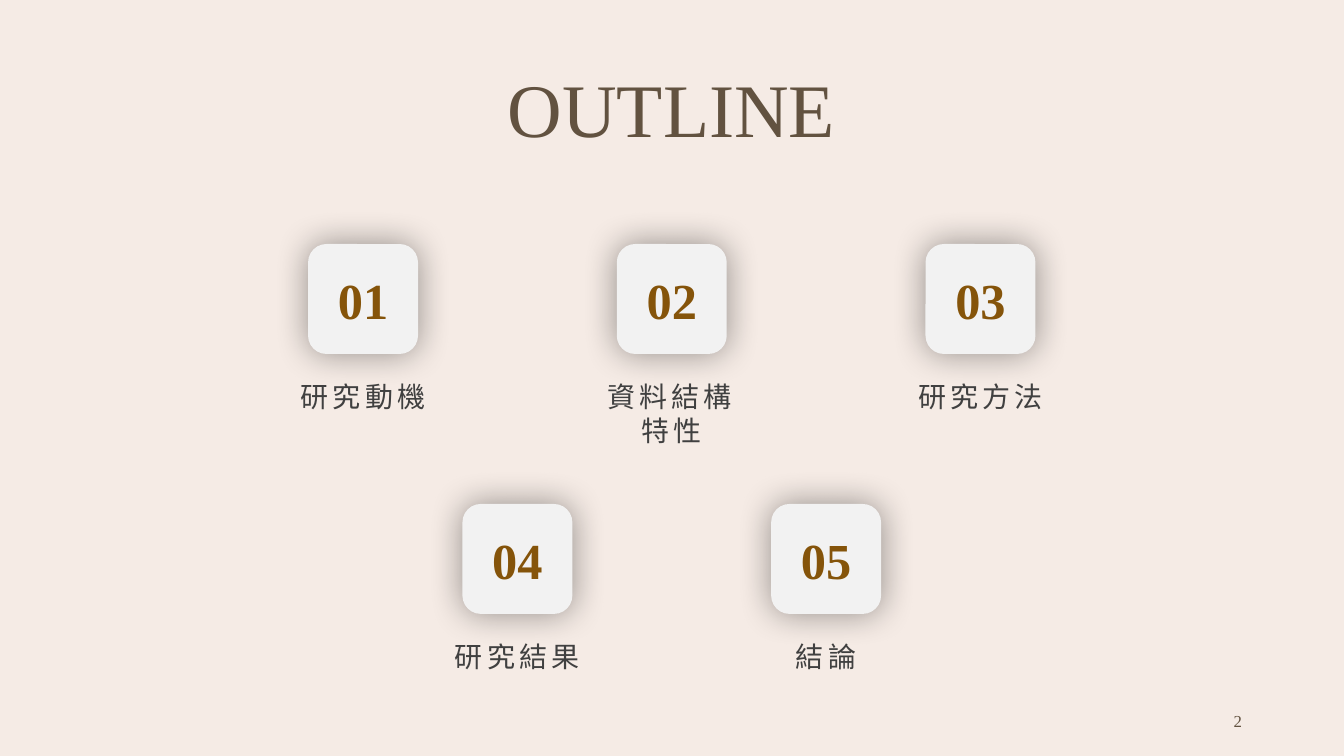
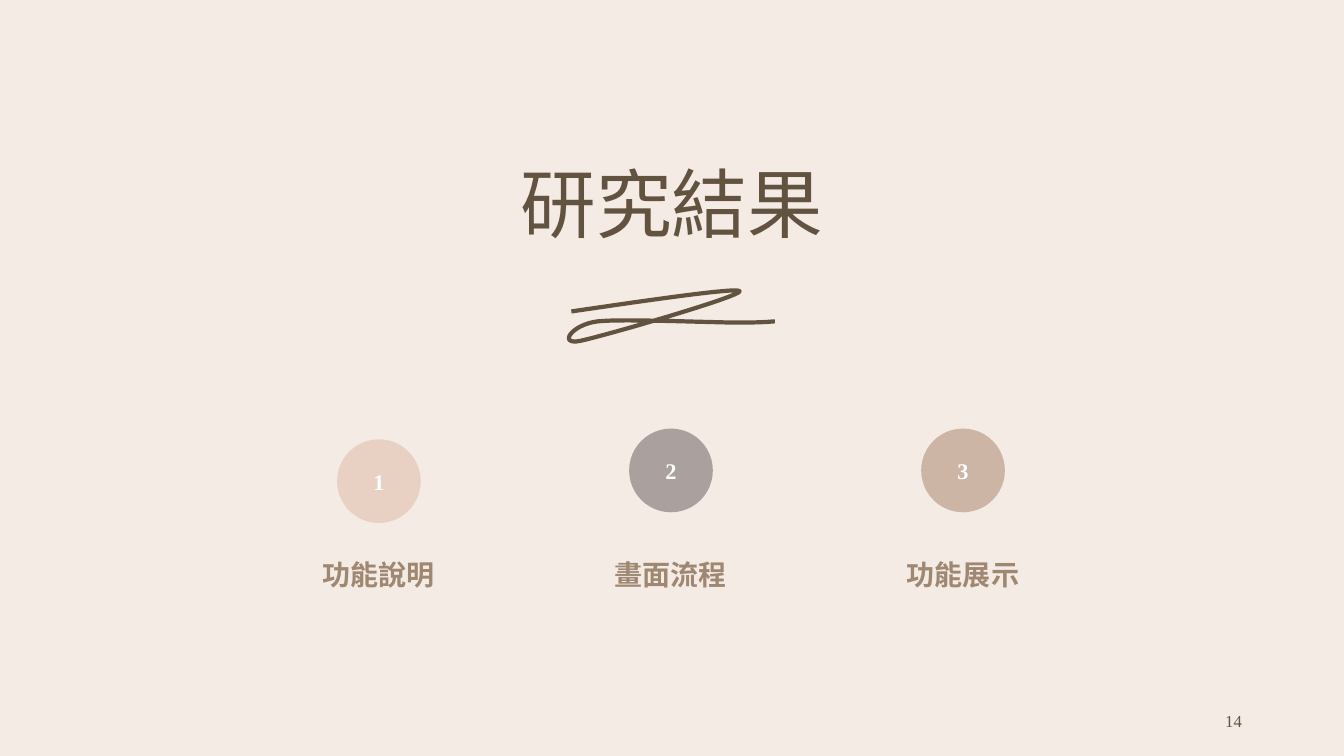
from dataclasses import dataclass

from lxml.etree import SubElement
from pptx import Presentation
from pptx.dml.color import RGBColor
from pptx.enum.shapes import MSO_SHAPE as Preset
from pptx.enum.text import MSO_ANCHOR as Anchor, MSO_AUTO_SIZE as AutoSize, PP_ALIGN as Align
from pptx.oxml.ns import qn
from pptx.util import Cm, Pt


@dataclass(frozen=True)
class Theme:
    font: str = "Times New Roman"
    paper: str = "F5EBE5"
    brown: str = "625240"
    tile: str = "F2F2F2"
    amber: str = "85540A"
    grey: str = "404040"
    tan: str = "9F8872"
    white: str = "FFFFFF"
    circles: tuple = ("E8D1C3", "AAA09E", "CCB5A5")
    title_size: int = 54
    tile_size: int = 36
    label_size: int = 20
    circle_size: int = 16
    page_size: int = 12


theme = Theme()


def write(shape, text, *, size, color, bold=False, align=Align.CENTER,
          anchor=Anchor.MIDDLE, wrap=True, line_spacing=None, tracking=0):
    """Put text in a shape; tracking is the letter spacing in points."""
    frame = shape.text_frame
    frame.auto_size = AutoSize.NONE
    frame.word_wrap = wrap
    frame.vertical_anchor = anchor
    paragraph = frame.paragraphs[0]
    paragraph.text = text
    paragraph.alignment = align
    paragraph.line_spacing = line_spacing
    for run in paragraph.runs:
        run.font.name = theme.font
        run.font.size = Pt(size)
        run.font.bold = bold
        run.font.color.rgb = RGBColor.from_string(color)
        properties = run.font._element if hasattr(run.font, "_element") else run._r.get_or_add_rPr()
        properties.set("lang", "zh-TW")
        if tracking:
            properties.set("spc", str(tracking * 100))


def add_plain(shapes, preset, left, top, width, height, fill=None):
    """Add a preset shape without outline or shadow."""
    shape = shapes.add_shape(preset, Cm(left), Cm(top), Cm(width), Cm(height))
    shape.shadow.inherit = False
    shape.line.fill.background()
    if fill:
        shape.fill.solid()
        shape.fill.fore_color.rgb = RGBColor.from_string(fill)
    else:
        shape.fill.background()
    return shape


deck = Presentation()
deck.slide_width, deck.slide_height = Cm(33.87), Cm(19.05)
background = deck.slide_master.background.fill
background.solid()
background.fore_color.rgb = RGBColor.from_string(theme.paper)

# Titles and page numbers
slides = []
for heading, heading_top, page in (("OUTLINE", 1.02, "2"), ("研究結果", 3.4, "14")):
    slide = deck.slides.add_slide(deck.slide_layouts[5])
    title = slide.shapes.title
    title.left, title.top, title.width, title.height = Cm(2.32), Cm(heading_top), Cm(29.21), Cm(3.68)
    write(title, heading, size=theme.title_size, color=theme.brown, line_spacing=0.9)
    page_number = slide.shapes.add_textbox(Cm(23.93), Cm(17.65), Cm(7.62), Cm(1.02))
    write(page_number, page, size=theme.page_size, color=theme.brown, align=Align.RIGHT)
    slides.append(slide)
outline, results = slides

# Outline: centred rows of numbered tiles
middle, tile_step, tile_side, label_width = 16.93, 7.78, 2.77, 4.72
chapter_rows = (
    (6.15, ("研究動機", "資料結構\v特性", "研究方法")),
    (12.7, ("研究結果", "結論")),
)
chapter_number = 0
for row_top, chapters in chapter_rows:
    for column, chapter in enumerate(chapters):
        chapter_number += 1
        center = middle + (column - (len(chapters) - 1) / 2) * tile_step
        group = outline.shapes.add_group_shape().shapes
        tile = add_plain(group, Preset.ROUNDED_RECTANGLE, center - tile_side / 2, row_top,
                         tile_side, tile_side, theme.tile)
        write(tile, f"{chapter_number:02}", size=theme.tile_size, color=theme.amber, bold=True)
        # Soft glow-like shadow all around the tile
        effects = tile._element.spPr.find(qn("a:effectLst"))
        shadow = SubElement(effects, qn("a:outerShdw"), blurRad=str(Pt(25)), dist="0",
                            algn="ctr", rotWithShape="0")
        shade = SubElement(shadow, qn("a:srgbClr"), val="000000")
        SubElement(shade, qn("a:alpha"), val="40000")
        label = group.add_textbox(Cm(center - label_width / 2), Cm(row_top + 3.29),
                                  Cm(label_width), Cm(1.12))
        write(label, chapter, size=theme.label_size, color=theme.grey,
              anchor=Anchor.TOP, tracking=3)

# Results: hand-drawn flourish, sampled from cubic curves
pen = (14.4, 7.85)
curves = (
    ((16.51, 7.54), (18.59, 7.24), (18.64, 7.34)),
    ((18.67, 7.47), (15.24, 8.46), (14.63, 8.59)),
    ((14.05, 8.71), (14.4, 8.18), (15.06, 8.1)),
    ((15.72, 8.03), (17.86, 8.13), (18.62, 8.13)),
    ((19.35, 8.13), (19.43, 8.1), (19.53, 8.1)),
)
samples = 16
stroke = []
builder = results.shapes.build_freeform(Cm(pen[0]), Cm(pen[1]))
for first, second, end in curves:
    for step in range(1, samples + 1):
        t = step / samples
        weights = ((1 - t) ** 3, 3 * t * (1 - t) ** 2, 3 * t * t * (1 - t), t ** 3)
        stroke.append(tuple(
            Cm(sum(weight * value for weight, value in zip(weights, values)))
            for values in zip(pen, first, second, end)))
    pen = end
builder.add_line_segments(stroke, close=False)
flourish = builder.convert_to_shape()
flourish.shadow.inherit = False
flourish.fill.background()
flourish.line.color.rgb = RGBColor.from_string(theme.brown)
flourish.line.width = Pt(3)

# Results: three numbered topics
topic_step, circle_side, topic_width = 7.36, 2.11, 5.03
topics = (("功能說明", 11.07), ("畫面流程", 10.8), ("功能展示", 10.8))
for index, (topic, circle_top) in enumerate(topics):
    center = 16.91 + (index - 1) * topic_step
    circle = add_plain(results.shapes, Preset.OVAL, center - circle_side / 2, circle_top,
                       circle_side, circle_side, theme.circles[index])
    write(circle, str(index + 1), size=theme.circle_size, color=theme.white, bold=True, wrap=False)
    caption = add_plain(results.shapes, Preset.ROUNDED_RECTANGLE, center - topic_width / 2, 13.77,
                        topic_width, 1.4)
    caption.adjustments[0] = 0.5
    write(caption, topic, size=theme.label_size, color=theme.tan, bold=True)

deck.save("out.pptx")
